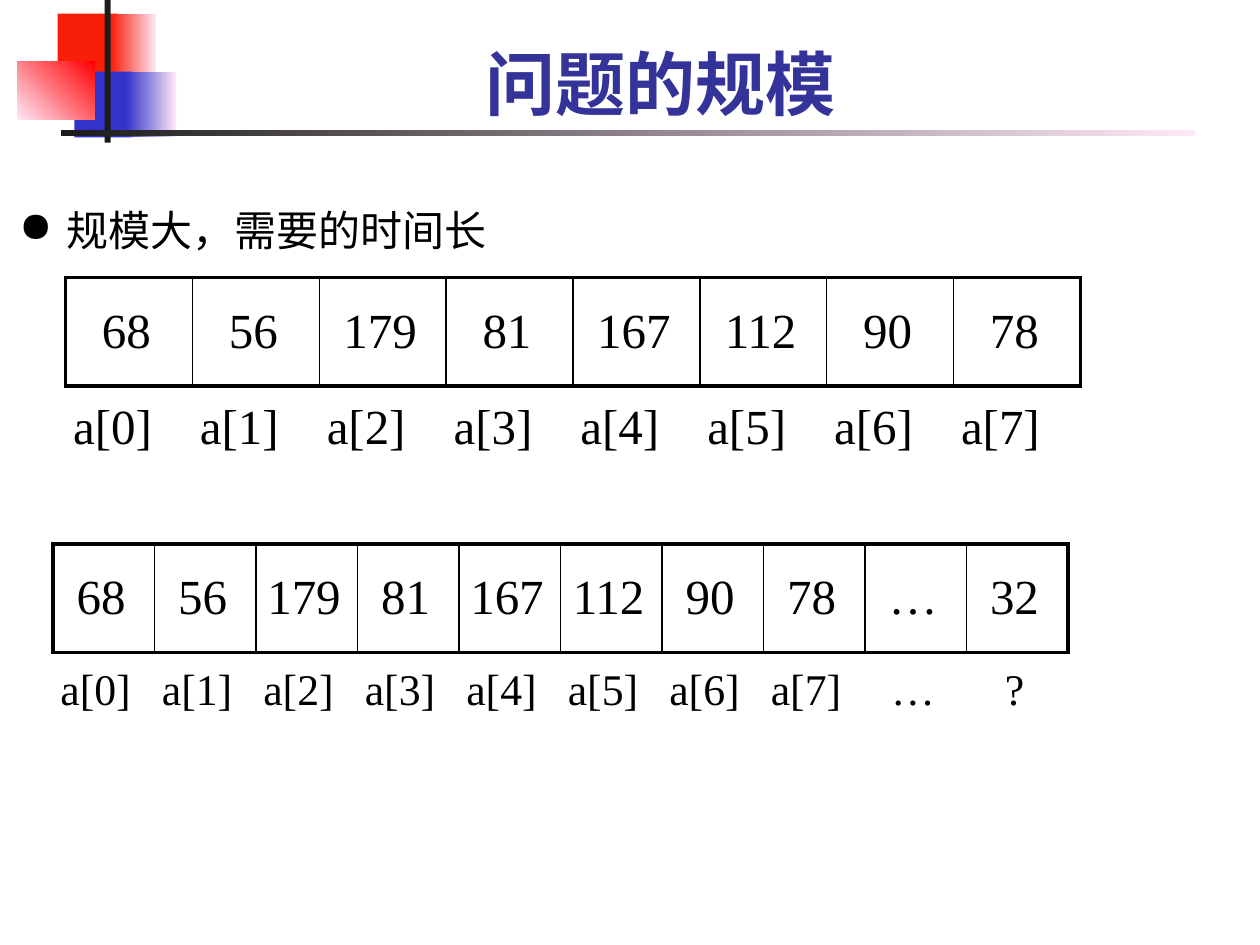
"""Build the slide on problem size, with a short and a long array."""
from lxml.etree import SubElement
from pptx import Presentation
from pptx.dml.color import RGBColor
from pptx.enum.shapes import MSO_SHAPE as Shape
from pptx.enum.text import MSO_ANCHOR as Anchor, PP_ALIGN as Align
from pptx.oxml.ns import qn
from pptx.util import Pt

COLORS = {"red": "F81F08", "bright": "FF0000", "blue": "3333CC", "pale": "FEE8F7",
          "dark": "1C1C1C", "title": "333399", "black": "000000"}
NO_GRID = "{2D5ABB26-0587-4C30-8999-92F81FD0307C}"
FONT = "Times New Roman"
INSET = Pt(4.3)


def style_text(paragraph, size, color="black", bold=False):
    font = paragraph.font
    font.name, font.size, font.bold = FONT, Pt(size), bold
    font.color.rgb = RGBColor.from_string(COLORS[color])


def add_row(left, top, column_width, texts, size, boxed):
    count = len(texts)
    frame = slide.shapes.add_table(1, count, Pt(left), Pt(top), Pt(column_width * count), Pt(62))
    table = frame.table
    table.first_row = table.horz_banding = False
    table._tbl.tblPr.find(qn("a:tableStyleId")).text = NO_GRID
    table.rows[0].height = Pt(62)
    for index, text in enumerate(texts):
        table.columns[index].width = Pt(column_width)
        cell = table.cell(0, index)
        cell.margin_left = cell.margin_right = cell.margin_top = cell.margin_bottom = INSET
        cell.vertical_anchor = Anchor.MIDDLE if boxed else Anchor.TOP
        paragraph = cell.text_frame.paragraphs[0]
        paragraph.text = text
        paragraph.alignment = Align.LEFT if text.startswith("a[") else Align.CENTER
        paragraph._p.get_or_add_pPr().set("marR", str(Pt(3)))
        style_text(paragraph, size)
        if boxed:
            widths = {"lnL": 2.25 if index == 0 else 1, "lnR": 2.25 if index == count - 1 else 1,
                      "lnT": 2.25, "lnB": 2.25}
            for side, width in widths.items():
                border = SubElement(cell._tc.get_or_add_tcPr(), qn(f"a:{side}"), w=str(Pt(width)))
                SubElement(SubElement(border, qn("a:solidFill")), qn("a:srgbClr"), val=COLORS["black"])
        cell.fill.background()


deck = Presentation()
deck.slide_width, deck.slide_height = Pt(720), Pt(540)
slide = deck.slides.add_slide(deck.slide_layouts[6])

ornaments = [
    (33, 7.75, 34.5, 37.5, ["red"], 0),
    (63.5, 7.75, 25.75, 37.5, ["red", "pale"], 0),
    (42.5, 41, 33, 37.5, ["blue"], 0),
    (72, 41, 28.75, 37.5, ["blue", "pale"], 0),
    (10, 35, 44, 33.25, ["pale", "bright"], 45),
    (59.75, -1.5, 3.5, 83, ["dark"], 0),
    (34.75, 74.25, 648, 3.5, ["dark", "pale"], 0),
]
for left, top, width, height, tones, angle in ornaments:
    ornament = slide.shapes.add_shape(Shape.RECTANGLE, Pt(left), Pt(top), Pt(width), Pt(height))
    ornament.shadow.inherit = False
    ornament.line.fill.background()
    if len(tones) == 1:
        ornament.fill.solid()
        ornament.fill.fore_color.rgb = RGBColor.from_string(COLORS[tones[0]])
    else:
        ornament.fill.gradient()
        ornament.fill.gradient_angle = angle
        for stop, tone in zip(ornament.fill.gradient_stops, tones):
            stop.color.rgb = RGBColor.from_string(COLORS[tone])

title = slide.shapes.add_textbox(Pt(70.5), Pt(1.5), Pt(613.5), Pt(74)).text_frame
title.word_wrap = True
title.vertical_anchor = Anchor.BOTTOM
title.margin_left = title.margin_right = title.margin_top = title.margin_bottom = INSET
heading = title.paragraphs[0]
heading.text = "问题的规模"
heading.alignment = Align.CENTER
style_text(heading, 40, "title", True)

remark = slide.shapes.add_textbox(Pt(8), Pt(99.5), Pt(349), Pt(38)).text_frame
remark.word_wrap = True
remark.margin_left = remark.margin_right = remark.margin_top = remark.margin_bottom = Pt(3)
point = remark.paragraphs[0]
point.text = "规模大，需要的时间长"
point.line_spacing = 1.5
properties = point._p.get_or_add_pPr()
properties.set("marL", str(Pt(27)))
properties.set("indent", str(Pt(-27)))
SubElement(properties, qn("a:buChar"), char="●")
style_text(point, 24)

values = ["68", "56", "179", "81", "167", "112", "90", "78"]
labels = [f"a[{index}]" for index in range(len(values))]
add_row(37.5, 224.5, 72.5, labels, 28, False)
add_row(37.5, 158.5, 72.5, values, 28, True)
add_row(30.25, 376.5, 58, labels + ["…", "?"], 25, False)
add_row(30.25, 310.75, 58, values + ["…", "32"], 28, True)

deck.save("out.pptx")
